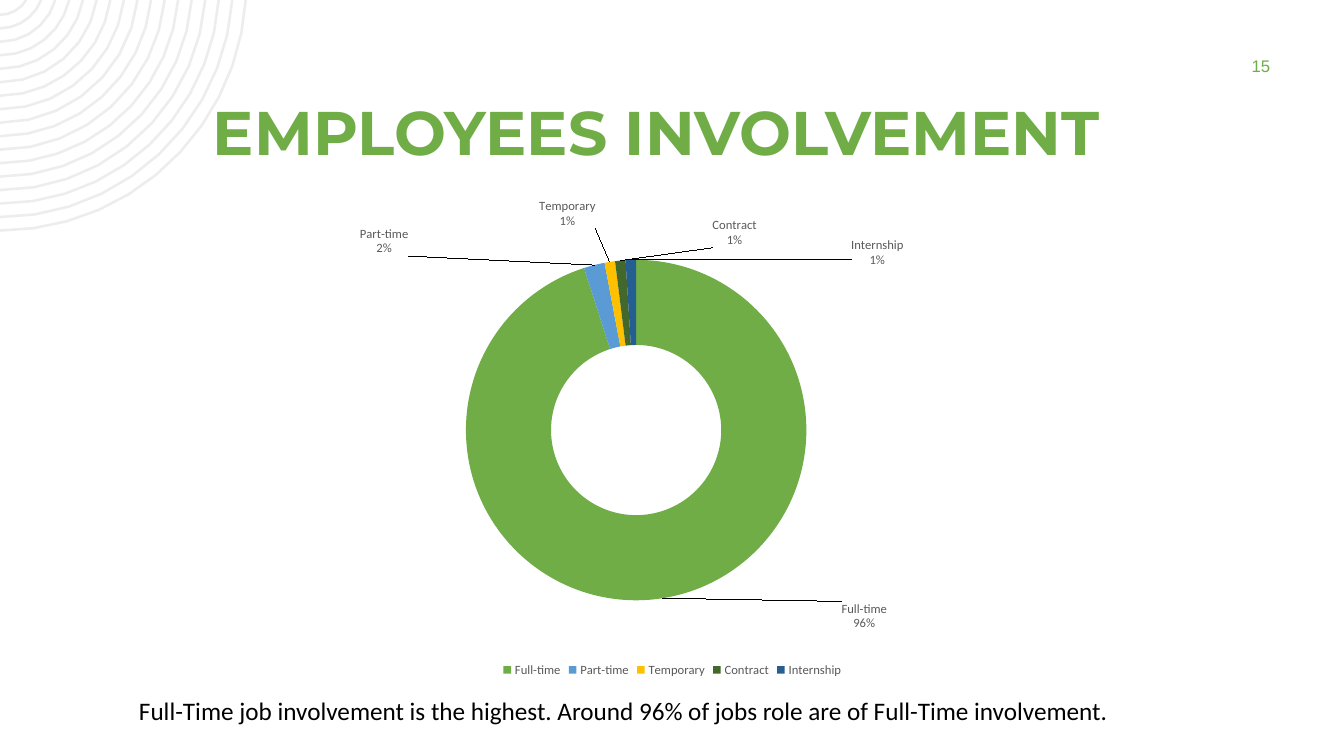
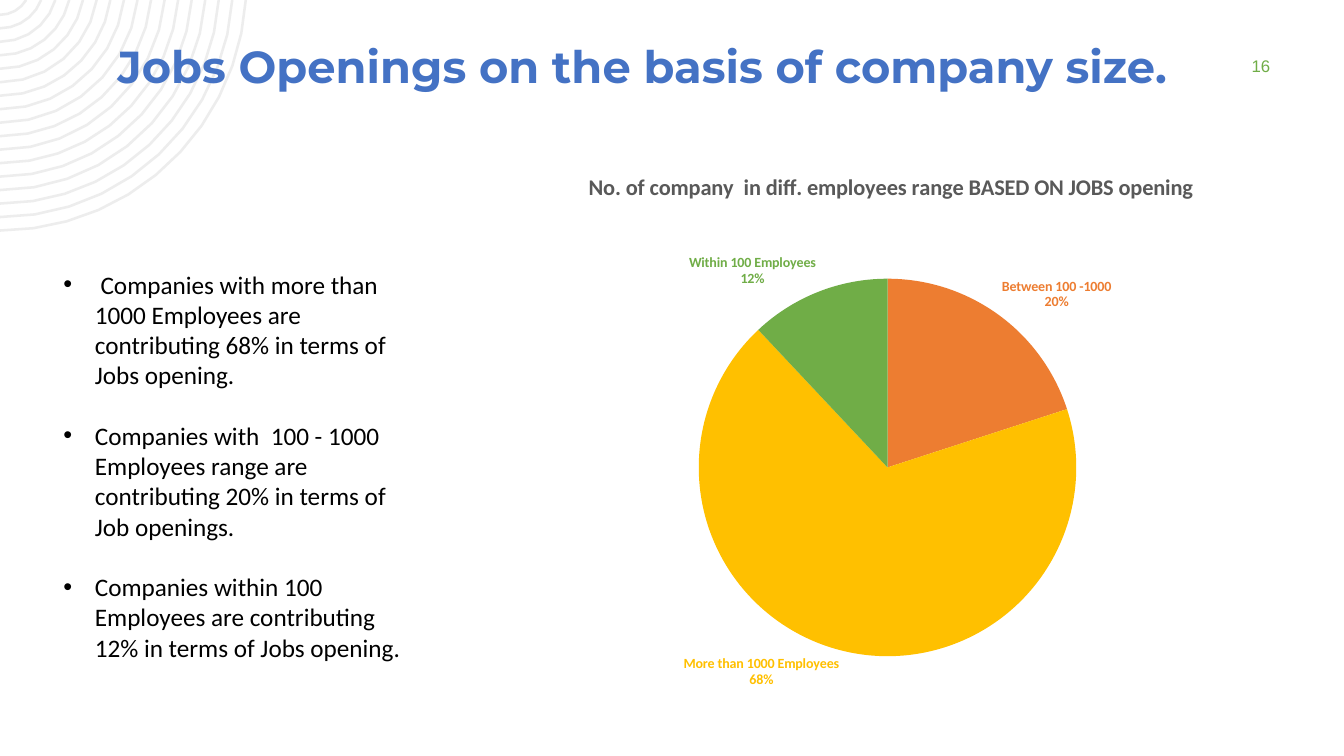
from math import asin, cos, pi, sin

from pptx import Presentation
from pptx.chart.data import CategoryChartData
from pptx.dml.color import RGBColor
from pptx.enum.chart import XL_CHART_TYPE as ChartType
from pptx.enum.chart import XL_LABEL_POSITION as LabelPosition
from pptx.enum.chart import XL_LEGEND_POSITION as LegendPosition
from pptx.enum.text import MSO_ANCHOR as Anchor
from pptx.enum.text import PP_ALIGN as Align
from pptx.oxml import parse_xml
from pptx.oxml.ns import nsdecls
from pptx.util import Pt

GREEN = RGBColor(0x70, 0xAD, 0x47)
BLUE = RGBColor(0x44, 0x72, 0xC4)
SKY = RGBColor(0x5B, 0x9B, 0xD5)
GOLD = RGBColor(0xFF, 0xC0, 0x00)
ORANGE = RGBColor(0xED, 0x7D, 0x31)
FOREST = RGBColor(0x43, 0x68, 0x2B)
NAVY = RGBColor(0x25, 0x5E, 0x91)
BLACK = RGBColor(0, 0, 0)
GREY = RGBColor(0x59, 0x59, 0x59)
PALE = RGBColor(0xED, 0xED, 0xED)

HEADING, BODY, NUMBER = "Montserrat", "Calibri", "Arial"

# category, percent, colour, label shift as a share of the chart's width and height
INVOLVEMENT = [
    ("Full-time", 96, GREEN, (0.17, 0.12)),
    ("Part-time", 2, SKY, (-0.18, -0.13)),
    ("Temporary", 1, GOLD, (-0.04, -0.18)),
    ("Contract", 1, FOREST, (0.09, -0.14)),
    ("Internship", 1, NAVY, (0.2, -0.1)),
]
INVOLVEMENT_NOTE = ("Full-Time job involvement is the highest. "
                    "Around 96% of jobs role are of Full-Time involvement.")
COMPANY_SIZES = [
    ("Between 100 -1000", 20, ORANGE, None),
    ("More than 1000 Employees", 68, GOLD, None),
    ("Within 100 Employees", 12, GREEN, None),
]
SIZE_TITLE = "No. of company  in diff. employees range BASED ON JOBS opening"
SIZE_NOTES = [
    " Companies with more than 1000 Employees are contributing 68% in terms of Jobs opening.",
    "Companies with  100 - 1000 Employees range are contributing 20% in terms of Job openings.",
    "Companies within 100 Employees are contributing 12% in terms of Jobs opening.",
]

RING_COUNT, RING_STEP, RING_WIDTH = 17, 9.63, 1.8
RING_OUTER, RING_CENTRE_Y = 175.9, -11.2


def set_font(font, size, color, name=BODY, bold=False):
    font.size, font.name, font.bold = Pt(size), name, bold
    font.color.rgb = color


def add_text(slide, box, lines, size, color, name=BODY, bold=False,
             align=Align.LEFT, anchor=Anchor.TOP):
    frame = slide.shapes.add_textbox(*map(Pt, box)).text_frame
    frame.word_wrap = True
    frame.vertical_anchor = anchor
    frame.text = "\n".join(lines)
    for paragraph in frame.paragraphs:
        paragraph.alignment = align
        for run in paragraph.runs:
            set_font(run.font, size, color, name, bold)
    return frame


def add_bullets(frame, indent, gap):
    for paragraph in frame.paragraphs:
        paragraph.space_after = Pt(gap)
        props = paragraph._p.get_or_add_pPr()
        props.set("marL", str(Pt(indent)))
        props.set("indent", str(-Pt(indent)))
        props.append(parse_xml(f'<a:buFont {nsdecls("a")} typeface="Arial"/>'))
        props.append(parse_xml(f'<a:buChar {nsdecls("a")} char="•"/>'))


def arc(radius):
    """Points of a circle's part inside the slide, from the top edge to the left edge."""
    steps = 4 + int(radius / 25)
    start = asin(-RING_CENTRE_Y / radius)
    angles = [start + (pi / 2 - start) * i / steps for i in range(steps + 1)]
    return [(Pt(radius * cos(a)), Pt(RING_CENTRE_Y + radius * sin(a))) for a in angles]


def add_corner_rings(slide):
    first, *others = [arc(RING_OUTER - ring * RING_STEP) for ring in range(RING_COUNT)]
    builder = slide.shapes.build_freeform(*first[0])
    builder.add_line_segments(first[1:], close=False)
    for points in others:
        builder.move_to(*points[0])
        builder.add_line_segments(points[1:], close=False)
    rings = builder.convert_to_shape()
    rings.shadow.inherit = False
    rings.fill.background()
    rings.line.color.rgb = PALE
    rings.line.width = Pt(RING_WIDTH)


def add_slide(prs, number):
    slide = prs.slides.add_slide(prs.slide_layouts[6])
    add_corner_rings(slide)
    add_text(slide, (861.8, 36, 77.8, 21.6), [str(number)], 12, GREEN, NUMBER,
             align=Align.CENTER, anchor=Anchor.MIDDLE)
    return slide


def manual_layout(x, y, size=None):
    parts = [("x", x), ("y", y)]
    if size:
        parts = ([("layoutTarget", "inner"), ("xMode", "edge"), ("yMode", "edge")]
                 + parts + list(zip("wh", size)))
    tags = "".join(f'<c:{tag} val="{value}"/>' for tag, value in parts)
    return parse_xml(f'<c:layout {nsdecls("c")}><c:manualLayout>{tags}'
                     "</c:manualLayout></c:layout>")


def add_round_chart(slide, kind, box, shares, plot_area, label_style):
    """Pie or doughnut with a category and percent label at each slice."""
    data = CategoryChartData()
    data.categories = [name for name, *_ in shares]
    data.add_series("Series 1", [percent for _, percent, *_ in shares])
    chart = slide.shapes.add_chart(kind, *map(Pt, box), data).chart
    set_font(chart.font, 10, BLACK)
    chart.has_title = chart.has_legend = False

    area = chart.element.xpath("c:chart/c:plotArea")[0]
    for old in area.xpath("c:layout"):
        area.remove(old)
    area.insert(0, manual_layout(*plot_area))

    plot = chart.plots[0]
    plot.vary_by_categories = True
    series = plot.series[0]
    size, label_color, bold, position = label_style
    for index, (_, _, color, shift) in enumerate(shares):
        point = series.points[index]
        point.format.fill.solid()
        point.format.fill.fore_color.rgb = color
        set_font(point.data_label.font, size, label_color or color, bold=bold)
        if position is not None:
            point.data_label.position = position
        label = area.xpath(f".//c:dLbl[c:idx/@val={index}]")[0]
        label.xpath("c:showCatName")[0].set("val", "1")
        label.append(parse_xml(f'<c:separator {nsdecls("c")}>\n</c:separator>'))
        label.insert(1, parse_xml(f'<c:numFmt {nsdecls("c")} formatCode="0&quot;%&quot;"'
                                  ' sourceLinked="0"/>'))
        if shift:
            label.insert(1, manual_layout(*shift))
    return chart


def build_involvement(prs):
    slide = add_slide(prs, 15)
    add_text(slide, (49, 63.4, 840.2, 60.5), ["EMPLOYEES INVOLVEMENT"], 44, GREEN,
             HEADING, True, Align.CENTER, Anchor.MIDDLE)
    add_text(slide, (92.2, 493.2, 847.4, 72.7), [INVOLVEMENT_NOTE], 18, BLACK)
    chart = add_round_chart(slide, ChartType.DOUGHNUT, (42.5, 129.6, 875.5, 357.1),
                            INVOLVEMENT, (0.195, 0.157, (0.551, 0.681)),
                            (9, GREY, False, None))
    chart.has_legend = True
    chart.legend.position = LegendPosition.BOTTOM
    chart.legend.include_in_layout = False
    set_font(chart.legend.font, 9, GREY)


def build_company_sizes(prs):
    slide = add_slide(prs, 16)
    add_text(slide, (77, 23.8, 801.4, 46.1), ["Jobs Openings on the basis of company size."],
             32, BLUE, HEADING, True)
    notes = add_text(slide, (38.2, 188.6, 268.6, 312.5), SIZE_NOTES, 18, BLACK)
    add_bullets(notes, 22.5, 21.6)
    chart = add_round_chart(slide, ChartType.PIE, (355, 108, 563, 406.8),
                            COMPANY_SIZES, (0.256, 0.224, (0.479, 0.663)),
                            (10, None, True, LabelPosition.OUTSIDE_END))
    chart.has_title = True
    title = chart.chart_title.text_frame
    title.text = SIZE_TITLE
    set_font(title.paragraphs[0].runs[0].font, 16, GREY, bold=True)


def main():
    prs = Presentation()
    prs.slide_width, prs.slide_height = Pt(960), Pt(540)
    build_involvement(prs)
    build_company_sizes(prs)
    prs.save("out.pptx")


if __name__ == "__main__":
    main()
